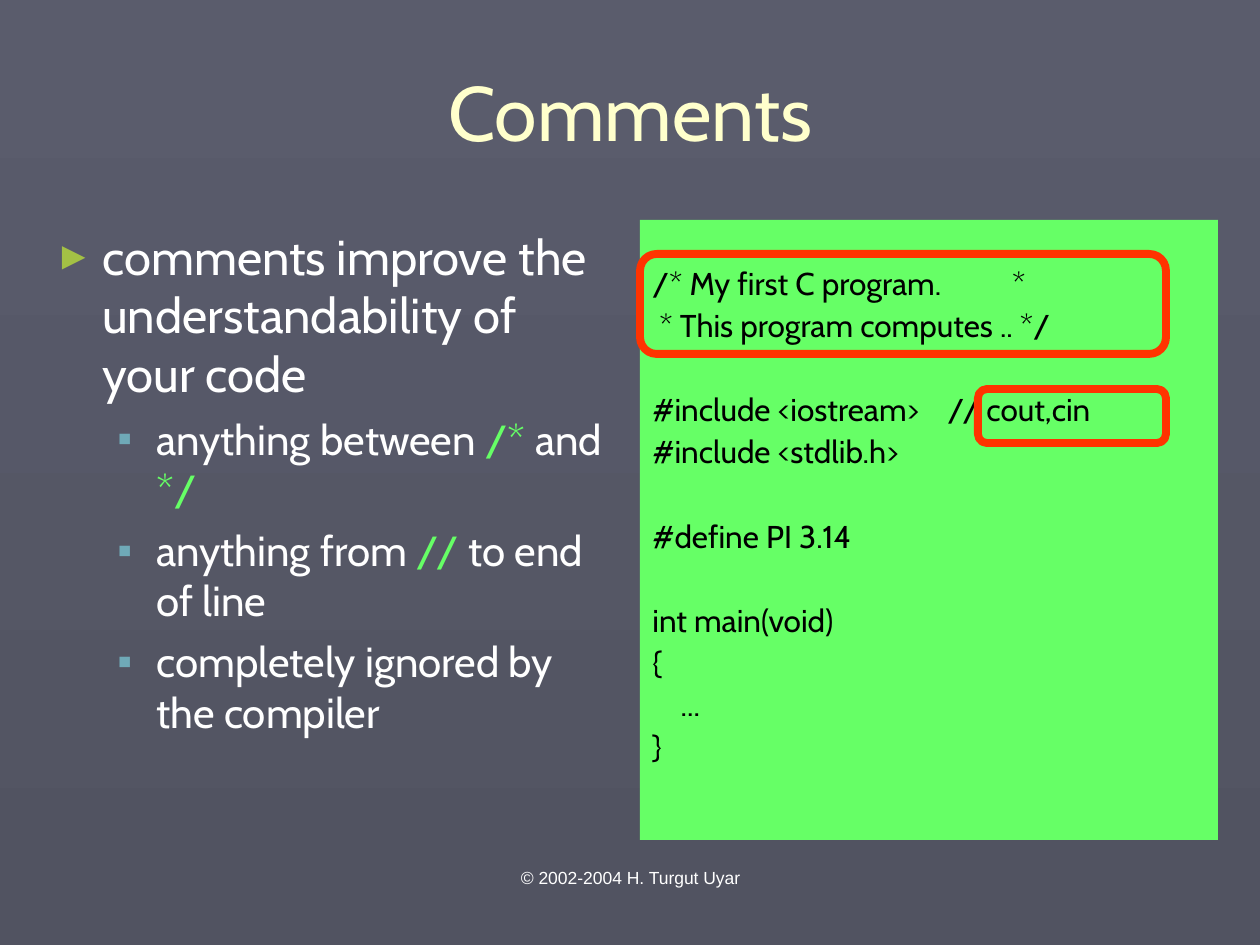
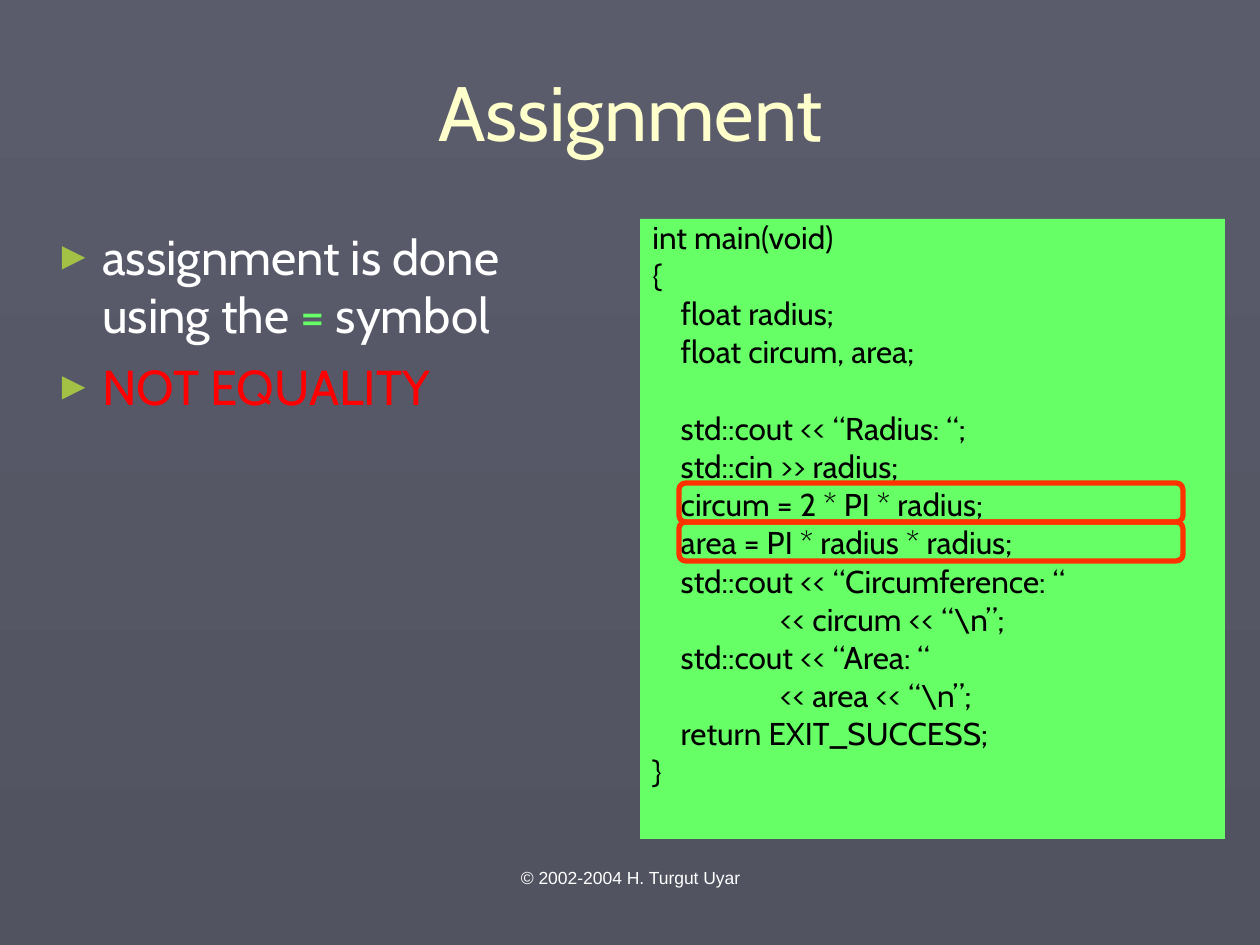
from dataclasses import dataclass

from lxml.etree import SubElement
from pptx import Presentation
from pptx.dml.color import RGBColor as Rgb
from pptx.enum.shapes import MSO_AUTO_SHAPE_TYPE as Preset
from pptx.enum.text import MSO_VERTICAL_ANCHOR as Anchor, PP_PARAGRAPH_ALIGNMENT as Align
from pptx.oxml.ns import qn
from pptx.util import Emu, Pt

EMU_PER_PX = 914400 / 126


@dataclass(frozen=True)
class Theme:
    # Colours
    sky: str = "5A5C6C"
    ground: str = "515361"
    title: str = "FFFFCC"
    text: str = "FFFFFF"
    green: str = "66FF66"
    code: str = "000000"
    frame: str = "FF3300"
    warning: str = "FF0000"
    # Fonts and sizes
    face: str = "Cabin"
    footer_face: str = "Arial"
    title_size: int = 44
    code_size: int = 18
    footer_size: int = 10
    code_gap: float = 4.5
    face_height: float = 1.215


THEME = Theme()

# Outline levels: size, space before, indent and hang in px, bullet
LEVELS = (
    dict(size=28, before=7, indent=48, hang=48, mark="►", mark_color="A3C145", mark_scale=80),
    dict(size=24, before=6, indent=102, hang=39, mark="▪", mark_color="6FA9B7", mark_scale=100),
)

TITLE_BOX = (42, 32, 1177, 157)
OUTLINE_BOX = (42, 220, 578, 620)
FOOTER_BOX = (431, 861, 399, 66)
FOOTER = "© 2002-2004 H. Turgut Uyar"

COMMENTS_CODE = r"""
/* My first C program.          *
 * This program computes .. */

#include <iostream>    // cout,cin
#include <stdlib.h>

#define PI 3.14

int main(void)
{
    ...
}"""

ASSIGNMENT_CODE = r"""int main(void)
{
    float radius;
    float circum, area;

    std::cout << “Radius: “;
    std::cin >> radius;
    circum = 2 * PI * radius;
    area = PI * radius * radius;
    std::cout << “Circumference: “
                  << circum << “\n”;
    std::cout << “Area: “
                  << area << “\n”;
    return EXIT_SUCCESS;
}"""


def px(length):
    return Emu(round(length * EMU_PER_PX))


def set_values(target, values):
    for name, value in values.items():
        setattr(target, name, value)


def add_run(paragraph, text, color, size, face=THEME.face):
    run = paragraph.add_run()
    run.text = text
    set_values(run.font, dict(name=face, size=Pt(size)))
    run.font.color.rgb = Rgb.from_string(color)


def add_frame(slide, box, **values):
    area = slide.shapes.add_textbox(*map(px, box))
    set_values(area.text_frame, dict(word_wrap=True, vertical_anchor=Anchor.TOP) | values)
    return area


def paragraphs(frame, count):
    """The paragraph a frame starts with, then new ones."""
    yield frame.paragraphs[0]
    for _ in range(count - 1):
        yield frame.add_paragraph()


def add_line(slide, box, text, color, size, face=THEME.face, anchor=Anchor.TOP):
    frame = add_frame(slide, box, vertical_anchor=anchor).text_frame
    line = frame.paragraphs[0]
    line.alignment = Align.CENTER
    add_run(line, text, color, size, face)


def set_bullet(paragraph, level):
    props = paragraph._p.get_or_add_pPr()
    props.set("marL", str(px(level["indent"])))
    props.set("indent", str(-px(level["hang"])))
    tint = SubElement(props, qn("a:buClr"))
    SubElement(tint, qn("a:srgbClr"), val=level["mark_color"])
    SubElement(props, qn("a:buSzPct"), val=str(level["mark_scale"] * 1000))
    SubElement(props, qn("a:buFont"), typeface=THEME.footer_face)
    SubElement(props, qn("a:buChar"), char=level["mark"])


def add_outline(slide, items):
    """Each item is a depth followed by (text, colour) pieces."""
    frame = add_frame(slide, OUTLINE_BOX).text_frame
    for index, (item, (depth, *pieces)) in enumerate(zip(paragraphs(frame, len(items)), items)):
        level = LEVELS[depth]
        set_bullet(item, level)
        set_values(item, dict(level=depth, space_before=Pt(level["before"] if index else 0)))
        for text, color in pieces:
            add_run(item, text, color, level["size"])


def add_code(slide, box, source, spacing):
    """Blank source lines become space above the next line."""
    pitch = THEME.code_size * THEME.face_height * spacing + THEME.code_gap
    lines, blanks = [], 0
    for text in source.split("\n"):
        if text:
            lines.append((text, blanks * pitch))
            blanks = 0
        else:
            blanks += 1
    panel = add_frame(slide, box)
    panel.fill.solid()
    panel.fill.fore_color.rgb = Rgb.from_string(THEME.green)
    frame = panel.text_frame
    frame.margin_top += Pt(lines[0][1])
    for index, (line, (text, gap)) in enumerate(zip(paragraphs(frame, len(lines)), lines)):
        before = Pt(gap + THEME.code_gap) if index else Pt(0)
        set_values(line, dict(line_spacing=spacing, space_before=before))
        add_run(line, text, THEME.code, THEME.code_size)


def add_highlight(slide, box, width):
    ring = slide.shapes.add_shape(Preset.ROUNDED_RECTANGLE, *map(px, box))
    ring.shadow.inherit = False
    ring.fill.background()
    ring.line.width = Pt(width)
    ring.line.color.rgb = Rgb.from_string(THEME.frame)


def add_base(deck, title):
    slide = deck.slides.add_slide(deck.slide_layouts[6])
    # Background, top to bottom
    backdrop = slide.background.fill
    backdrop.gradient()
    backdrop.gradient_angle = 270
    for stop, color, position in zip(backdrop.gradient_stops, (THEME.sky, THEME.ground), (0, 1)):
        stop.color.rgb = Rgb.from_string(color)
        stop.position = position
    # Title and footer
    add_line(slide, TITLE_BOX, title, THEME.title, THEME.title_size, anchor=Anchor.MIDDLE)
    add_line(slide, FOOTER_BOX, FOOTER, THEME.text, THEME.footer_size, THEME.footer_face)
    return slide


def add_comments(deck):
    slide = add_base(deck, "Comments")
    add_outline(slide, (
        (0, ("comments improve the understandability of your code", THEME.text)),
        (1, ("anything between ", THEME.text), ("/*", THEME.green),
         (" and ", THEME.text), ("*/", THEME.green)),
        (1, ("anything from ", THEME.text), ("//", THEME.green), (" to end of line", THEME.text)),
        (1, ("completely ignored by the compiler", THEME.text)),
    ))
    add_code(slide, (640, 220, 578, 620), COMMENTS_CODE, 0.9)
    for comment in ((640, 254, 526, 100), (978, 389, 188, 54)):
        add_highlight(slide, comment, 4.5)


def add_assignment(deck):
    slide = add_base(deck, "Assignment")
    add_outline(slide, (
        (0, ("assignment is done using the ", THEME.text), ("=", THEME.green),
         (" symbol", THEME.text)),
        (0, ("NOT EQUALITY", THEME.warning)),
    ))
    add_code(slide, (640, 219, 585, 620), ASSIGNMENT_CODE, 0.8)
    row_height = 39
    for row in range(2):
        add_highlight(slide, (679, 483 + row * row_height, 504, row_height), 3)


def main():
    deck = Presentation()
    set_values(deck, dict(slide_width=px(1260), slide_height=px(945)))
    add_comments(deck)
    add_assignment(deck)
    deck.save("out.pptx")


if __name__ == "__main__":
    main()
